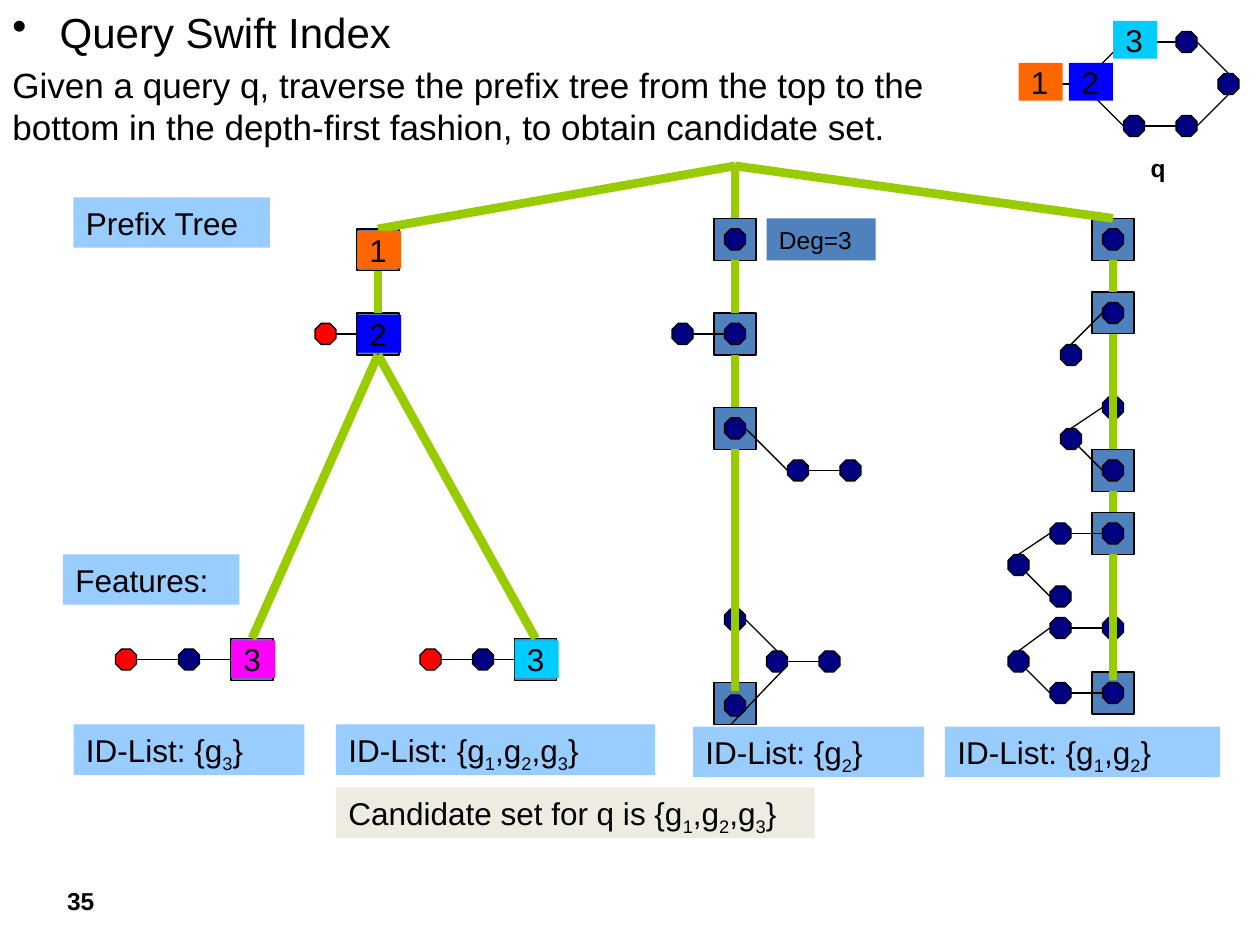
from lxml import etree
from pptx import Presentation
from pptx.dml.color import RGBColor
from pptx.enum.shapes import MSO_CONNECTOR, MSO_SHAPE
from pptx.enum.text import MSO_ANCHOR
from pptx.oxml.ns import qn
from pptx.util import Emu, Pt

RECT, OCTAGON = MSO_SHAPE.RECTANGLE, MSO_SHAPE.OCTAGON
STRAIGHT, TOP = MSO_CONNECTOR.STRAIGHT, MSO_ANCHOR.TOP
PX = 7620  # 120 px to the inch
FONT = "Arial"
SQUARE, NODE = 40, 20
TAG_WIDTH, TAG_HEIGHT, LABEL_HEIGHT = 42, 36, 48
COLORS = {
    "black": "000000", "steel": "4F81BD", "navy": "000080", "red": "FF0000",
    "sky": "99CCFF", "green": "99CC00", "orange": "FF6600", "blue": "0000FF",
    "magenta": "FF00FF", "cyan": "00CCFF", "sand": "EEECE1",
}

HEADING = "Query Swift Index"
EXPLANATION = ("Given a query q, traverse the prefix tree from the top to the "
               "bottom in the depth-first fashion, to obtain candidate set.")

# Centres of the tree squares and of the graph vertices
SQUARES = [
    (360, 238), (360, 318), (240, 628), (510, 628),
    (700, 228), (700, 318), (700, 408), (700, 670),
    (1060, 228), (1060, 298), (1060, 448), (1060, 508), (1060, 660),
]
NODES = {
    "red": [(310, 318), (410, 628), (120, 628)],
    "navy": [
        (180, 628), (460, 628),
        (700, 228), (650, 318), (700, 318), (700, 408), (760, 448), (810, 448),
        (700, 590), (740, 630), (790, 630), (700, 672),
        (1060, 228), (1060, 298), (1020, 338),
        (1060, 388), (1020, 418), (1060, 448),
        (1060, 508), (1010, 508), (970, 538), (1010, 568),
        (1060, 598), (1010, 598), (970, 630), (1010, 660), (1060, 660),
        (1130, 40), (1170, 80), (1130, 120), (1080, 120),
    ],
}

# Lines: x1, y1, x2, y2
EDGES = [
    (320, 318, 350, 318), (130, 628, 170, 628), (190, 628, 230, 628),
    (420, 628, 450, 628), (470, 628, 500, 628),
    (660, 318, 690, 318), (710, 408, 750, 448), (770, 448, 800, 448),
    (710, 590, 740, 620), (750, 630, 780, 630), (696, 690, 744, 640),
    (1020, 328, 1050, 298), (1020, 408, 1050, 388), (1020, 418, 1050, 448),
    (1020, 508, 1050, 508), (970, 528, 1000, 508), (970, 538, 1000, 568),
    (1020, 598, 1050, 598), (970, 620, 1000, 598), (970, 630, 1000, 660),
    (1020, 660, 1050, 660),
    (1000, 80, 1030, 80), (1040, 70, 1070, 40), (1090, 40, 1120, 40),
    (1140, 40, 1170, 70), (1170, 90, 1140, 120), (1120, 120, 1090, 120),
    (1070, 120, 1040, 90),
]
BRANCHES = [
    (700, 158, 360, 218), (700, 158, 700, 208), (700, 158, 1060, 208),
    (360, 258, 360, 298), (360, 338, 240, 608), (360, 338, 510, 608),
    (700, 248, 700, 298), (700, 338, 700, 388), (700, 428, 700, 658),
    (1060, 248, 1060, 278), (1060, 318, 1060, 428),
    (1060, 468, 1060, 488), (1060, 528, 1060, 648),
]

# Numbered tags: text, colour, left, top
TAGS = [
    ("1", "orange", 340, 220), ("1", "orange", 970, 60),
    ("2", "blue", 340, 300), ("2", "blue", 1018, 60),
    ("3", "magenta", 220, 610), ("3", "cyan", 490, 610), ("3", "cyan", 1060, 20),
]
# Labels: text ("_" lowers the next character), colour, left, top, width
LABELS = [
    ("Prefix Tree", "sky", 70, 188, 187),
    ("Features:", "sky", 60, 528, 168),
    ("ID-List: {g_3}", "sky", 70, 690, 220),
    ("ID-List: {g_1,g_2,g_3}", "sky", 320, 690, 304),
    ("ID-List: {g_2}", "sky", 660, 692, 220),
    ("ID-List: {g_1,g_2}", "sky", 900, 692, 262),
    ("Candidate set for q is {g_1,g_2,g_3}", "sand", 320, 750, 456),
]
# Bold captions: text, left, top, width, height
CAPTIONS = [("35", 52, 838, 56, 41), ("q", 1084, 140, 38, 41)]


def color(name):
    return RGBColor.from_string(COLORS[name])


def scaled(*lengths):
    return [Emu(length * PX) for length in lengths]


def write(para, text, size, bold=False):
    para.font.name, para.font.size, para.font.bold = FONT, Pt(size), bold
    para.font.color.rgb = color("black")
    first, *rest = text.split("_")
    para.add_run().text = first
    for piece in rest:
        lowered = para.add_run()
        lowered.text = piece[0]
        lowered._r.get_or_add_rPr().set("baseline", "-25000")
        para.add_run().text = piece[1:]


def add_shape(page, kind, fill, left, top, width, height, outlined=False):
    shape = page.shapes.add_shape(kind, *scaled(left, top, width, height))
    shape.shadow.inherit = False
    shape.fill.solid()
    shape.fill.fore_color.rgb = color(fill)
    if outlined:
        shape.line.color.rgb = color("black")
        shape.line.width = Pt(0.75)
    else:
        shape.line.fill.background()
    return shape


def add_centred(page, kind, fill, center, size):
    x, y = center
    return add_shape(page, kind, fill, x - size // 2, y - size // 2,
                     size, size, outlined=True)


def add_label(page, text, fill, left, top, width, height, size=18, inset=6):
    frame = add_shape(page, RECT, fill, left, top, width, height).text_frame
    frame.word_wrap = True
    frame.vertical_anchor = TOP
    frame.margin_top = frame.margin_bottom = Emu(inset * PX)
    para = frame.paragraphs[0]
    para.alignment = 1
    write(para, text, size)


def add_line(page, ends, name, width):
    line = page.shapes.add_connector(STRAIGHT, *scaled(*ends))
    line.line.color.rgb = color(name)
    line.line.width = Pt(width)
    etree.SubElement(line._element.spPr, qn("a:effectLst"))


def add_text_box(page, left, top, width, height):
    frame = page.shapes.add_textbox(*scaled(left, top, width, height)).text_frame
    frame.word_wrap = True
    return frame


def main():
    deck = Presentation()
    deck.slide_width, deck.slide_height = scaled(1200, 900)
    page = deck.slides.add_slide(deck.slide_layouts[6])

    # Heading and explanation
    frame = add_text_box(page, 0, 0, 940, 145)
    heading, explanation = frame.paragraphs[0], frame.add_paragraph()
    for para, text, size in ((heading, HEADING, 24), (explanation, EXPLANATION, 20)):
        para.space_before = Pt(size * 0.2)
        write(para, text, size)
    properties = heading._p.get_or_add_pPr()
    properties.set("marL", str(45 * PX))
    properties.set("indent", str(-45 * PX))
    bullet = etree.Element(qn("a:buChar"), char="•")
    properties.find(qn("a:spcBef")).addnext(bullet)

    # Prefix tree and graphs
    for center in SQUARES:
        add_centred(page, RECT, "steel", center, SQUARE)
    for ends in EDGES:
        add_line(page, ends, "black", 0.75)
    for fill, centers in NODES.items():
        for center in centers:
            add_centred(page, OCTAGON, fill, center, NODE)
    for ends in BRANCHES:
        add_line(page, ends, "green", 5)

    # Tags, labels and captions
    for text, fill, left, top in TAGS:
        add_label(page, text, fill, left, top, TAG_WIDTH, TAG_HEIGHT, inset=0)
    for text, fill, left, top, width in LABELS:
        add_label(page, text, fill, left, top, width, LABEL_HEIGHT)
    add_label(page, "Deg=3", "steel", 730, 208, 104, 40, size=14)
    for text, *place in CAPTIONS:
        para = add_text_box(page, *place).paragraphs[0]
        para.space_before = Pt(2.8)
        write(para, text, 14, bold=True)

    deck.save("out.pptx")


if __name__ == "__main__":
    main()
